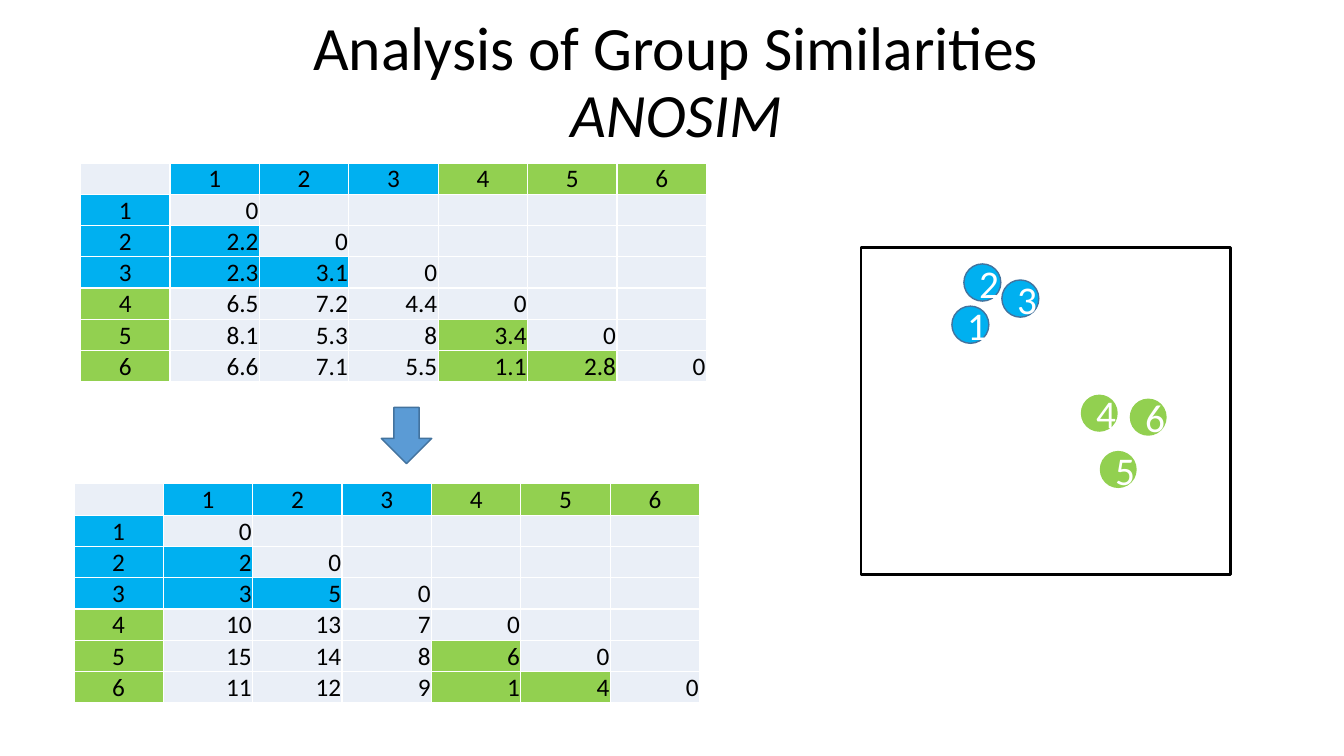
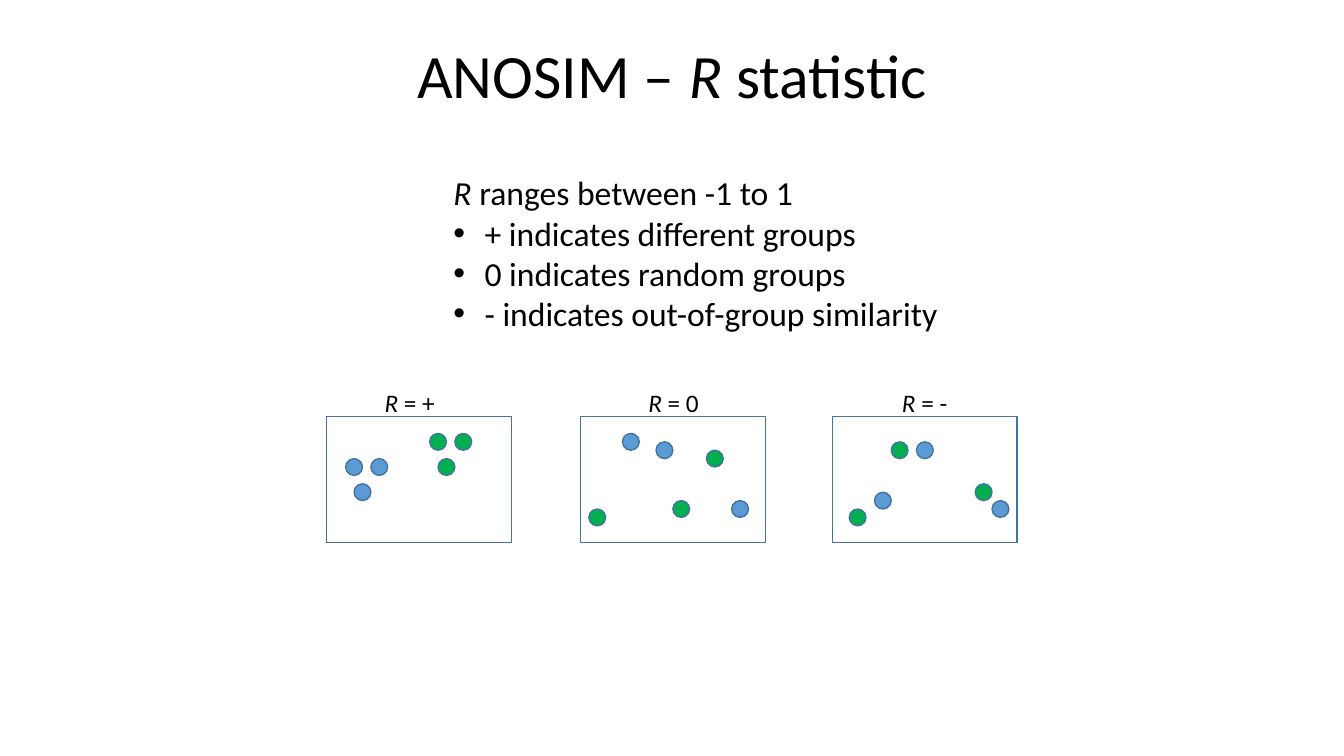
from dataclasses import dataclass

from lxml import etree
from pptx import Presentation
from pptx.dml.color import RGBColor
from pptx.enum import shapes, text
from pptx.oxml import ns
from pptx import util as u

BLACK = RGBColor(0x00, 0x00, 0x00)
WHITE = RGBColor(0xFF, 0xFF, 0xFF)
SKY = RGBColor(0x00, 0xB0, 0xF0)
LIME = RGBColor(0x92, 0xD0, 0x50)
PALE = RGBColor(0xEA, 0xEF, 0xF7)
STEEL = RGBColor(0x5B, 0x9B, 0xD5)
OUTLINE = RGBColor(0x43, 0x73, 0x9E)
GREEN = RGBColor(0x00, 0xB0, 0x50)
FONT = "Calibri"
BULLET_INDENT = u.Inches(0.31)

GROUP_OF = {1: SKY, 2: SKY, 3: SKY, 4: LIME, 5: LIME, 6: LIME}
DISTANCES = [
    ["0"],
    ["2.2", "0"],
    ["2.3", "3.1", "0"],
    ["6.5", "7.2", "4.4", "0"],
    ["8.1", "5.3", "8", "3.4", "0"],
    ["6.6", "7.1", "5.5", "1.1", "2.8", "0"],
]
RANKS = [
    ["0"],
    ["2", "0"],
    ["3", "5", "0"],
    ["10", "13", "7", "0"],
    ["15", "14", "8", "6", "0"],
    ["11", "12", "9", "1", "4", "0"],
]
SAMPLES = [(3, 28.2, 6.4), (1, 18.2, 11.6), (2, 20.6, 3.2),
           (4, 44, 29.2), (6, 53.8, 30), (5, 47.8, 40.4)]
PANELS = [
    ("+", 38.9, 5.7,
     [(2.25, 5), (3.25, 8), (5.25, 5)],
     [(12.25, 2), (13.25, 5), (15.25, 2)]),
    ("0", 69.1, 6.9,
     [(18, 10), (9, 3), (5, 2)],
     [(1, 11), (11, 10), (15, 4)]),
    ("-", 99.1, 7.1,
     [(19, 10), (10, 3), (5, 9)],
     [(2, 11), (7, 3), (17, 8)]),
]


@dataclass
class Box:
    left: float
    top: float
    width: float
    height: float
    cols: int
    rows: int

    def area(self, col, row, wide, high):
        across, down = self.width / self.cols, self.height / self.rows
        return [int(v) for v in (self.left + col * across, self.top + row * down,
                                 wide * across, high * down)]

    def subgrid(self, col, row, wide, high, cols, rows):
        return Box(*self.area(col, row, wide, high), cols, rows)


def write(paragraph, runs, size, color=BLACK):
    for words, italic in runs:
        run = paragraph.add_run()
        run.text = words
        run.font.name = FONT
        run.font.size = u.Pt(size)
        run.font.italic = italic
        run.font.color.rgb = color


def add_figure(slide, kind, area, fill=None, line=None, weight=1):
    figure = slide.shapes.add_shape(kind, *area)
    figure.shadow.inherit = False
    if fill is None:
        figure.fill.background()
    else:
        figure.fill.solid()
        figure.fill.fore_color.rgb = fill
    if line is None:
        figure.line.fill.background()
    else:
        figure.line.color.rgb = line
        figure.line.width = u.Pt(weight)
    return figure


def add_title(slide, area, lines):
    frame = slide.shapes.add_textbox(*area).text_frame
    frame.word_wrap = True
    frame.vertical_anchor = text.MSO_ANCHOR.MIDDLE
    heading = frame.paragraphs[0]
    heading.alignment = text.PP_ALIGN.CENTER
    heading.line_spacing = 0.9
    for index, runs in enumerate(lines):
        if index:
            heading.add_line_break()
        write(heading, runs, 44)


def add_matrix(slide, area, values):
    size = len(values) + 1
    table = slide.shapes.add_table(size, size, *area).table
    table.first_row = table.horz_banding = False
    for row in range(size):
        for col in range(size):
            cell = table.cell(row, col)
            cell.margin_left = cell.margin_right = cell.margin_top = u.Inches(0.01)
            cell.margin_bottom = 0
            cell.vertical_anchor = text.MSO_ANCHOR.BOTTOM
            header = row == 0 or col == 0
            label, color = "", PALE
            if header and row != col:
                label, color = str(row + col), GROUP_OF[row + col]
            elif not header and col <= row:
                label = values[row - 1][col - 1]
                if col < row and GROUP_OF[row] == GROUP_OF[col]:
                    color = GROUP_OF[row]
            cell.fill.solid()
            cell.fill.fore_color.rgb = color
            entry = cell.text_frame.paragraphs[0]
            entry.font.size = u.Pt(18)
            entry.alignment = text.PP_ALIGN.CENTER if header else text.PP_ALIGN.RIGHT
            if label:
                write(entry, [(label, False)], 18)


def add_ordination(slide, plot):
    add_figure(slide, shapes.MSO_SHAPE.RECTANGLE,
               plot.area(0, 0, plot.cols, plot.rows), line=BLACK, weight=2)
    for number, col, row in SAMPLES:
        color = GROUP_OF[number]
        sample = add_figure(slide, shapes.MSO_SHAPE.OVAL, plot.area(col, row, 7.4, 7.4),
                            color, OUTLINE if color == SKY else None)
        frame = sample.text_frame
        frame.vertical_anchor = text.MSO_ANCHOR.MIDDLE
        frame.paragraphs[0].alignment = text.PP_ALIGN.CENTER
        write(frame.paragraphs[0], [(str(number), False)], 28, WHITE)


def add_panel(slide, panel, sign, label_col, blues, greens):
    add_figure(slide, shapes.MSO_SHAPE.RECTANGLE,
               panel.area(0, 0, panel.cols, panel.rows), line=OUTLINE)
    for color, dots in ((STEEL, blues), (GREEN, greens)):
        for col, row in dots:
            add_figure(slide, shapes.MSO_SHAPE.OVAL, panel.area(col, row, 2, 2),
                       color, OUTLINE)
    frame = slide.shapes.add_textbox(*panel.area(label_col, -4.1, 8.5, 4.8)).text_frame
    frame.word_wrap = False
    write(frame.paragraphs[0], [("R", True), (f" = {sign}", False)], 18)


def add_ranges(slide, area):
    frame = slide.shapes.add_textbox(*area).text_frame
    frame.word_wrap = False
    write(frame.paragraphs[0], [("R", True), (" ranges between -1 to 1", False)], 24)
    for meaning in ("+ indicates different groups", "0 indicates random groups",
                    "- indicates out-of-group similarity"):
        item = frame.add_paragraph()
        props = item._p.get_or_add_pPr()
        props.set("marL", str(BULLET_INDENT))
        props.set("indent", str(-BULLET_INDENT))
        etree.SubElement(props, ns.qn("a:buFont")).set("typeface", "Arial")
        etree.SubElement(props, ns.qn("a:buChar")).set("char", "•")
        write(item, [(meaning, False)], 24)


def build_similarities(slide, page):
    add_title(slide, page.area(11.5, 1.3, 138, 17.4),
              [[("Analysis of Group Similarities", False)], [("ANOSIM", True)]])
    add_ordination(slide, page.subgrid(102.5, 29.5, 44, 38.9, 74, 65))
    add_matrix(slide, page.area(8.8, 57.6, 74.5, 26), RANKS)
    add_matrix(slide, page.area(9.6, 19.4, 74.5, 26), DISTANCES)
    add_figure(slide, shapes.MSO_SHAPE.DOWN_ARROW, page.area(45.4, 48.5, 6, 6.7),
               STEEL, OUTLINE)


def build_statistic(slide, page):
    add_title(slide, page.area(11, 0.6, 138, 17.4),
              [[("ANOSIM – ", False), ("R", True), (" statistic", False)]])
    add_ranges(slide, page.area(52.8, 19.9, 60.8, 20.6))
    for sign, left, label_col, blues, greens in PANELS:
        add_panel(slide, page.subgrid(left, 49.6, 22, 15, 22, 15),
                  sign, label_col, blues, greens)


def main():
    deck = Presentation()
    deck.slide_width, deck.slide_height = u.Inches(13.33), u.Inches(7.5)
    page = Box(0, 0, deck.slide_width, deck.slide_height, 160, 90)
    for build in (build_similarities, build_statistic):
        build(deck.slides.add_slide(deck.slide_layouts[6]), page)
    deck.save("out.pptx")


if __name__ == "__main__":
    main()
